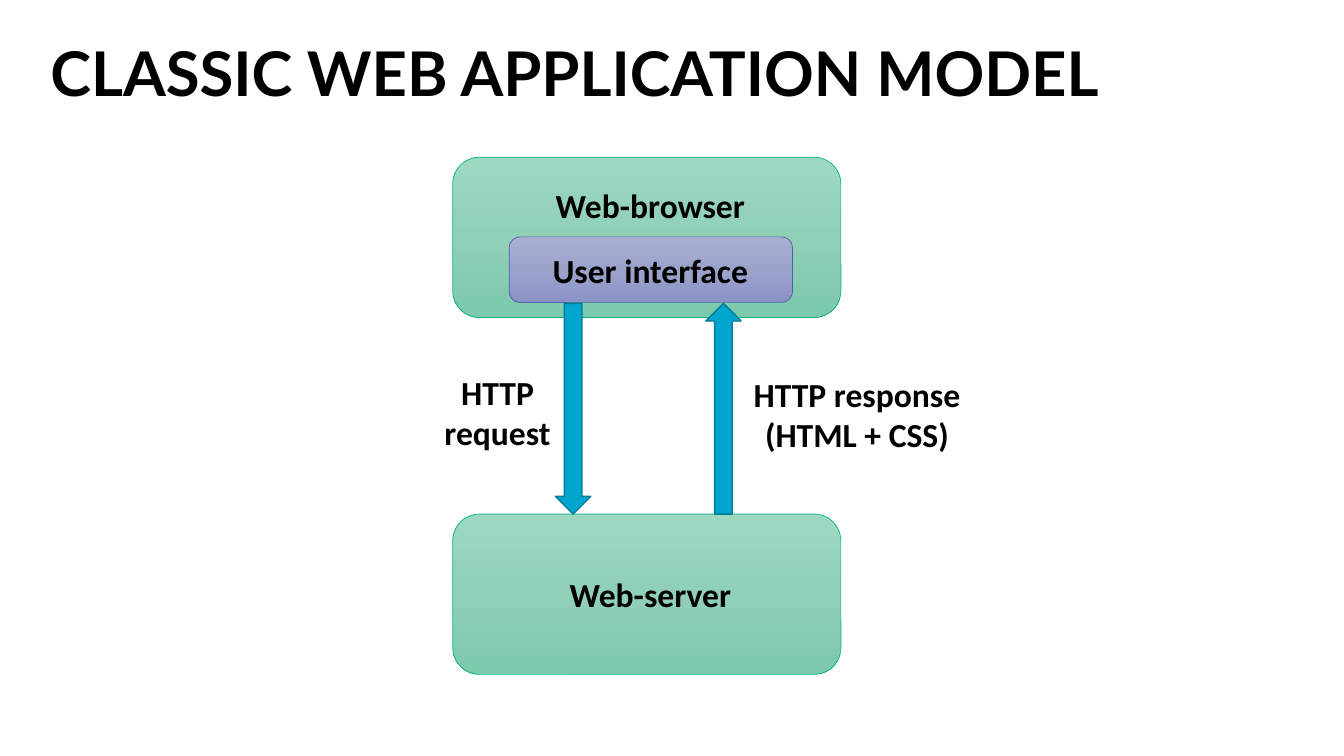
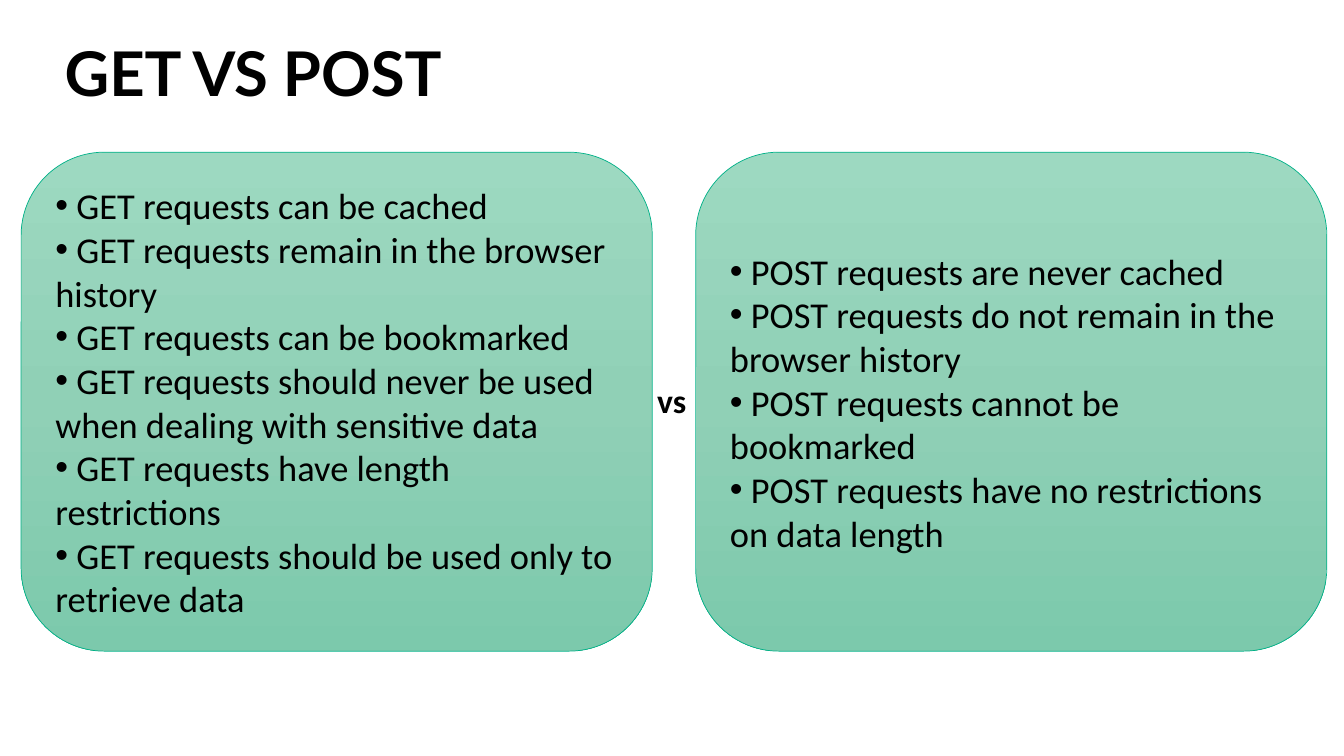
from copy import deepcopy

from pptx import Presentation
from pptx.dml.color import RGBColor
from pptx.enum.shapes import MSO_SHAPE
from pptx.enum.text import MSO_ANCHOR, MSO_AUTO_SIZE, PP_ALIGN
from pptx.oxml.ns import qn
from pptx.util import Pt

PX = 9144
WIDTH, HEIGHT = 1333, 750
TITLE_ONLY = 5

ROUND = MSO_SHAPE.ROUNDED_RECTANGLE
DOWN, UP = MSO_SHAPE.DOWN_ARROW, MSO_SHAPE.UP_ARROW
TOP, MIDDLE = MSO_ANCHOR.TOP, MSO_ANCHOR.MIDDLE
LEFT, CENTER = PP_ALIGN.LEFT, PP_ALIGN.CENTER
NO_FIT = MSO_AUTO_SIZE.NONE

BLACK = RGBColor(0x00, 0x00, 0x00)
GREENS = (RGBColor(0x9D, 0xD9, 0xC1), RGBColor(0x90, 0xD0, 0xB6), RGBColor(0x7C, 0xC9, 0xAC))
GREEN_EDGE = RGBColor(0x00, 0xB1, 0x88)
VIOLETS = (RGBColor(0xAA, 0xAF, 0xD2), RGBColor(0x9C, 0xA3, 0xCB), RGBColor(0x8B, 0x93, 0xC6))
VIOLET_EDGE = RGBColor(0x4E, 0x5F, 0xAB)
BLUE = RGBColor(0x00, 0xA6, 0xCE)
BLUE_EDGE = RGBColor(0x00, 0x7B, 0x98)

HEAD_FONT, BODY_FONT = "Lato", "Calibri"

GET_FACTS = (
    "GET requests can be cached",
    "GET requests remain in the browser history",
    "GET requests can be bookmarked",
    "GET requests should never be used when dealing with sensitive data",
    "GET requests have length restrictions",
    "GET requests should be used only to retrieve data",
)
POST_FACTS = (
    "POST requests are never cached",
    "POST requests do not remain in the browser history",
    "POST requests cannot be bookmarked",
    "POST requests have no restrictions on data length",
)


def scale(*sizes):
    """Turn px lengths into EMU."""
    return [size * PX for size in sizes]


def style(para, size, bold=False, align=LEFT, face=BODY_FONT):
    """Set the font and alignment of a paragraph."""
    para.alignment = align
    font = para.font
    font.name, font.size, font.bold = face, Pt(size), bold
    font.color.rgb = BLACK


def add_slide(deck, title, inset=10):
    """Add a slide with its title in the shared style."""
    slide = deck.slides.add_slide(deck.slide_layouts[TITLE_ONLY])
    head = slide.shapes.title
    head.left, head.top, head.width, head.height = scale(40, 38, 1265, 58)
    frame = head.text_frame
    frame.text = title
    frame.auto_size = NO_FIT
    frame.vertical_anchor = TOP
    frame.margin_left = inset * PX
    para = frame.paragraphs[0]
    para.line_spacing = 0.9
    style(para, 44, True, face=HEAD_FONT)
    return slide


def add_label(slide, box, *lines, align=CENTER, wrap=True):
    """Add a bold label of one or more lines."""
    frame = slide.shapes.add_textbox(*scale(*box)).text_frame
    frame.word_wrap = wrap
    frame.text = "\n".join(lines)
    for para in frame.paragraphs:
        style(para, 24, True, align)


def add_figure(slide, kind, box, edge, weight):
    """Add an outlined shape without a shadow."""
    shape = slide.shapes.add_shape(kind, *scale(*box))
    shape.shadow.inherit = False
    shape.line.color.rgb = edge
    shape.line.width = Pt(weight)
    return shape


def add_panel(slide, box, shades=GREENS, edge=GREEN_EDGE):
    """Add a rounded panel shaded from top to bottom."""
    panel = add_figure(slide, ROUND, box, edge, 0.5)
    fill = panel.fill
    fill.gradient()
    fill.gradient_angle = 270
    stops = panel._element.spPr.find(".//" + qn("a:gsLst"))
    stops.insert(1, deepcopy(stops[0]))
    for stop, shade, place in zip(fill.gradient_stops, shades, (0, 0.5, 1)):
        stop.color.rgb = shade
        stop.position = place
    return panel


def add_arrow(slide, kind, left, top):
    """Add a tall block arrow."""
    arrow = add_figure(slide, kind, (left, top, 35, 209), BLUE_EDGE, 1)
    arrow.fill.solid()
    arrow.fill.fore_color.rgb = BLUE


def add_model(slide, left, top):
    """Draw the browser, the server and the traffic between them."""
    for drop in (0, 354):
        add_panel(slide, (left, top + drop, 385, 159))
    add_panel(slide, (left + 56, top + 79, 281, 65), VIOLETS, VIOLET_EDGE)
    labels = (("Web-browser", 23), ("Web-server", 408), ("User interface", 87))
    for text, drop in labels:
        add_label(slide, (left + 77, top + drop, 238, 50), text)
    for kind, shift in ((DOWN, 102), (UP, 251)):
        add_arrow(slide, kind, left + shift, top + 145)
    add_label(slide, (left - 34, top + 208, 157, 91), "HTTP", "request")
    add_label(slide, (left + 279, top + 210, 244, 91), "HTTP response", "(HTML + CSS)")


def add_facts(slide, box, facts):
    """Add a panel with a bullet for each fact."""
    frame = add_panel(slide, box).text_frame
    frame.word_wrap = True
    frame.vertical_anchor = MIDDLE
    frame.text = "\n".join(" " + fact for fact in facts)
    for para in frame.paragraphs:
        props = para._p.get_or_add_pPr()
        props.set("marL", "0")
        props.set("indent", "0")
        face = props.makeelement(qn("a:buFont"), {"typeface": "Arial"})
        mark = props.makeelement(qn("a:buChar"), {"char": "•"})
        props.extend((face, mark))
        style(para, 26)


def add_versus(slide, left, top):
    """Set the two lists of facts side by side."""
    width, height, gap = 626, 495, 43
    for col, facts in enumerate((GET_FACTS, POST_FACTS)):
        add_facts(slide, (left + col * (width + gap), top, width, height), facts)
    add_label(slide, (left + width - 5, top + 221, 50, 50), "vs", align=LEFT, wrap=False)


def main():
    """Build and save the deck."""
    deck = Presentation()
    deck.slide_width, deck.slide_height = scale(WIDTH, HEIGHT)
    add_model(add_slide(deck, "CLASSIC WEB APPLICATION MODEL"), 449, 156)
    add_versus(add_slide(deck, "GET VS POST", inset=24), 21, 151)
    deck.save("out.pptx")


if __name__ == "__main__":
    main()
